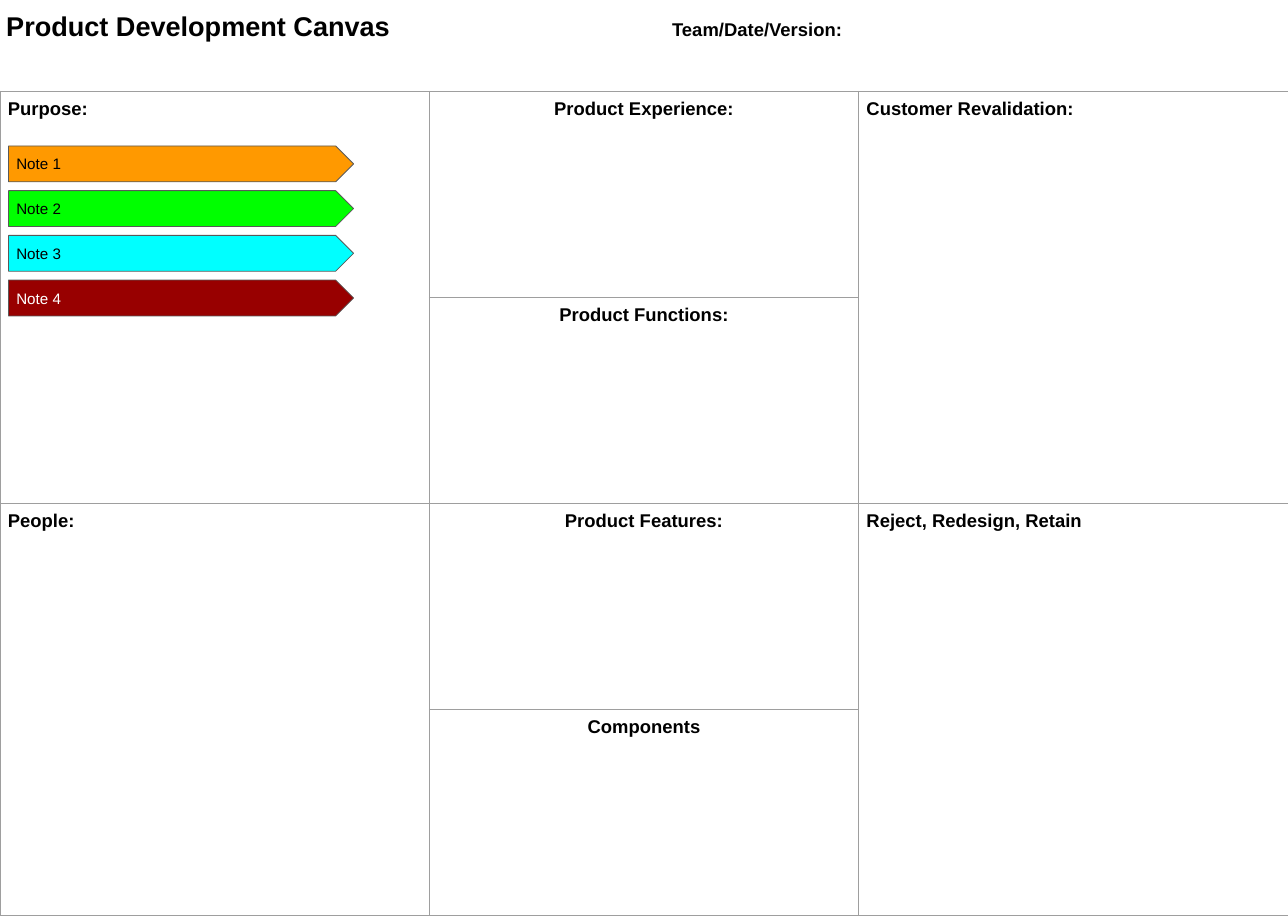
from lxml.etree import SubElement
from pptx import Presentation
from pptx.dml.color import RGBColor
from pptx.enum.shapes import MSO_SHAPE
from pptx.enum.text import MSO_ANCHOR, MSO_AUTO_SIZE, PP_ALIGN
from pptx.oxml.ns import qn
from pptx.util import Inches, Pt

BORDER = "9E9E9E"
NOTE_OUTLINE = "595959"


def add_run(paragraph, text, size, color="000000", bold=True):
    run = paragraph.add_run()
    run.text = text
    run.font.name = "Arial"
    run.font.size = Pt(size)
    run.font.bold = bold
    run.font.color.rgb = RGBColor.from_string(color)


def set_margins(holder):
    """Give a cell or text frame the same inset on all four sides."""
    holder.margin_left = holder.margin_right = Inches(0.1)
    holder.margin_top = holder.margin_bottom = Inches(0.1)


presentation = Presentation()
presentation.slide_width = Inches(16.5)
presentation.slide_height = Inches(11.75)
slide = presentation.slides.add_slide(presentation.slide_layouts[5])

# Heading, with the team field set at a tab stop
title = slide.shapes.title
title.left, title.top = Inches(-0.02), Inches(0.02)
title.width, title.height = Inches(16.5), Inches(1.16)
title_frame = title.text_frame
title_frame.auto_size = MSO_AUTO_SIZE.NONE
title_frame.vertical_anchor = MSO_ANCHOR.TOP
set_margins(title_frame)
heading = title_frame.paragraphs[0]
heading.alignment = PP_ALIGN.LEFT
tab_list = SubElement(heading._p.get_or_add_pPr(), qn("a:tabLst"))
SubElement(tab_list, qn("a:tab"), pos=str(Inches(8.53)), algn="l")
add_run(heading, "Product Development Canvas", 25)
add_run(heading, "\tTeam/Date/Version:", 17)

# Canvas grid: outer columns have two tall cells, the middle has four
canvas = slide.shapes.add_table(
    4, 3, Inches(0), Inches(1.17), Inches(16.5), Inches(10.56)
).table
canvas.first_row = False
canvas.horz_banding = False
for column in canvas.columns:
    column.width = Inches(5.5)
for row in canvas.rows:
    row.height = Inches(2.64)

for cell in canvas.iter_cells():
    set_margins(cell)
    properties = cell._tc.get_or_add_tcPr()
    for side in ("lnL", "lnR", "lnT", "lnB"):
        line = SubElement(properties, qn(f"a:{side}"), w=str(Pt(0.75)))
        line_fill = SubElement(line, qn("a:solidFill"))
        SubElement(line_fill, qn("a:srgbClr"), val=BORDER)
    cell.fill.background()

column_labels = [
    ["Purpose:", "People:"],
    ["Product Experience:", "Product Functions:", "Product Features:", "Components"],
    ["Customer Revalidation:", "Reject, Redesign, Retain"],
]
for column_index, labels in enumerate(column_labels):
    row_span = 4 // len(labels)
    for label_index, label in enumerate(labels):
        first_row = label_index * row_span
        cell = canvas.cell(first_row, column_index)
        if row_span > 1:
            cell.merge(canvas.cell(first_row + row_span - 1, column_index))
        paragraph = cell.text_frame.paragraphs[0]
        paragraph.alignment = PP_ALIGN.CENTER if column_index == 1 else PP_ALIGN.LEFT
        add_run(paragraph, label, 17)

# Sticky notes in the Purpose cell
notes = [
    ("Note 1", "FF9900", "000000"),
    ("Note 2", "00FF00", "000000"),
    ("Note 3", "00FFFF", "000000"),
    ("Note 4", "980000", "FFFFFF"),
]
for index, (label, fill_color, text_color) in enumerate(notes):
    note = slide.shapes.add_shape(
        MSO_SHAPE.PENTAGON,
        Inches(0.11), Inches(1.87 + index * 0.573), Inches(4.42), Inches(0.46),
    )
    note.name = label
    note.shadow.inherit = False
    note.fill.solid()
    note.fill.fore_color.rgb = RGBColor.from_string(fill_color)
    note.line.color.rgb = RGBColor.from_string(NOTE_OUTLINE)
    note.line.width = Pt(0.75)
    note_frame = note.text_frame
    note_frame.vertical_anchor = MSO_ANCHOR.MIDDLE
    set_margins(note_frame)
    paragraph = note_frame.paragraphs[0]
    paragraph.alignment = PP_ALIGN.LEFT
    add_run(paragraph, label, 14, text_color, bold=False)

presentation.save("out.pptx")
